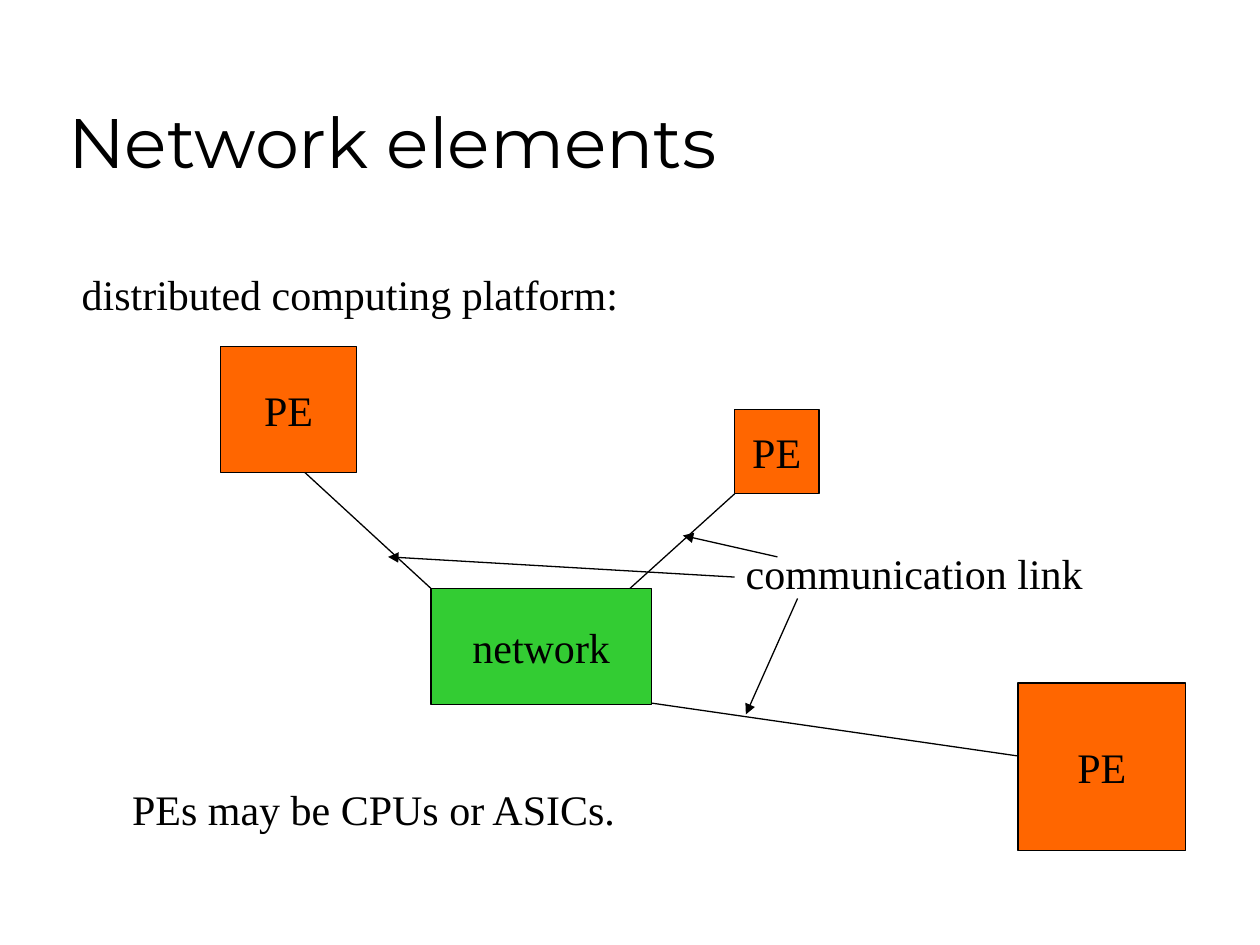
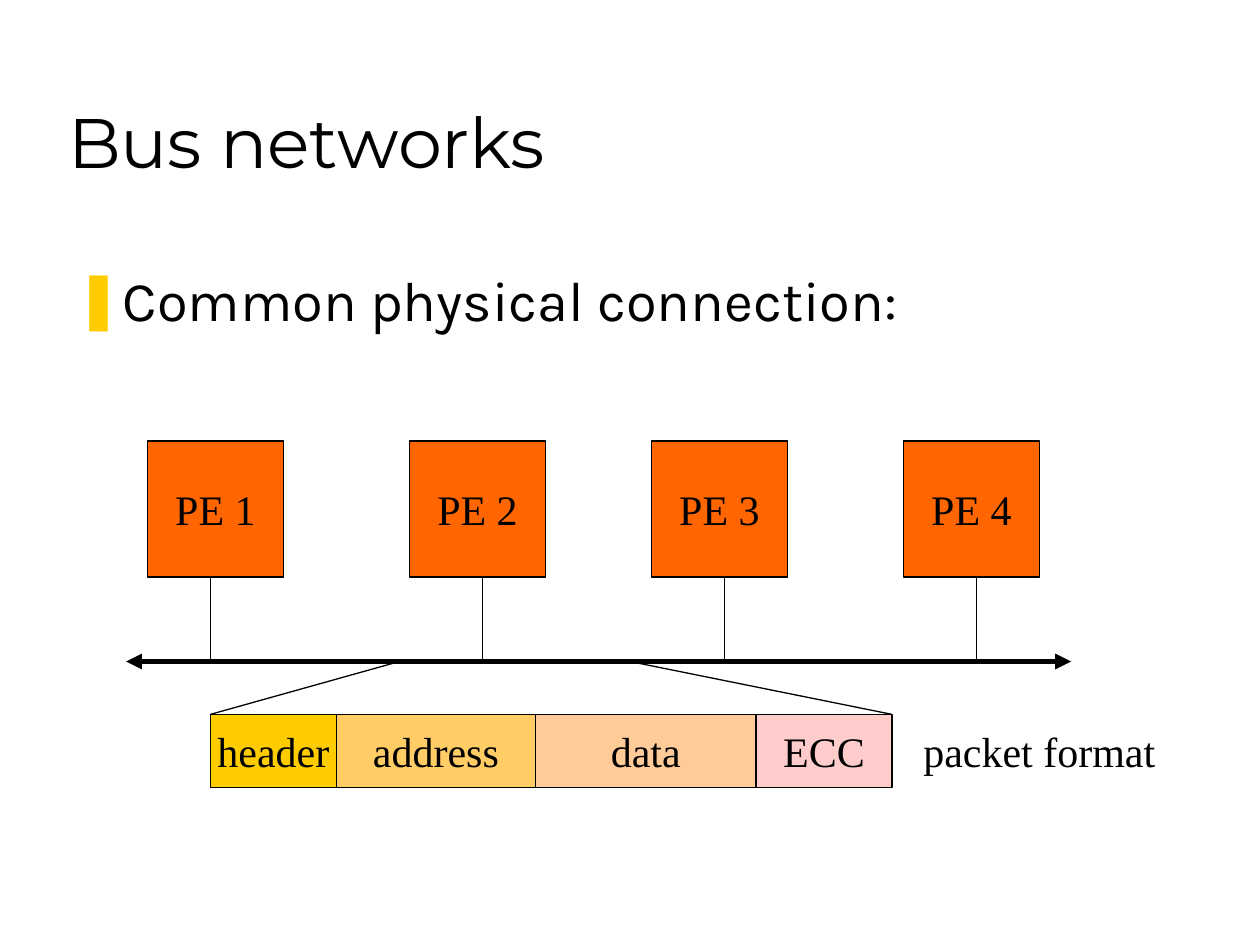
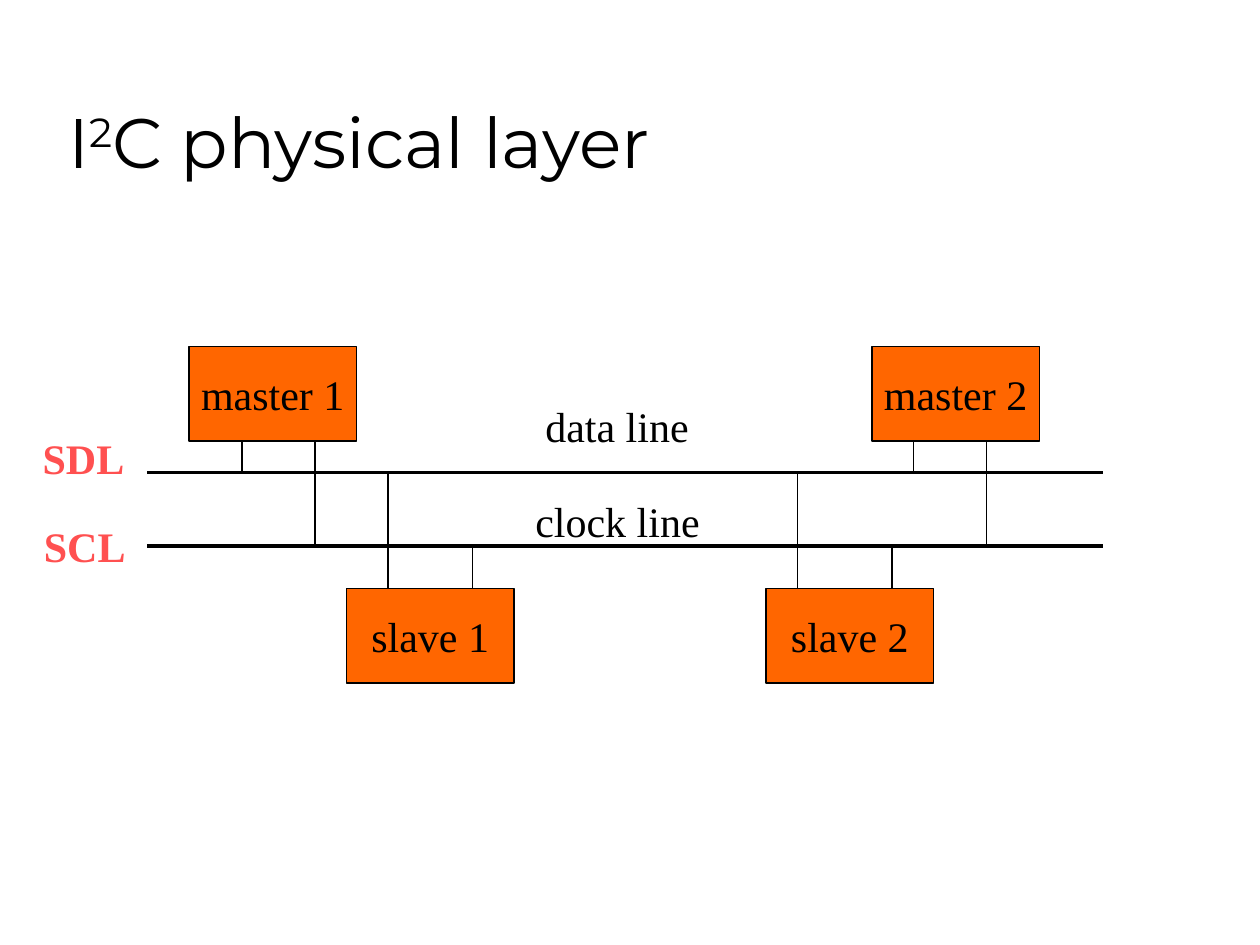
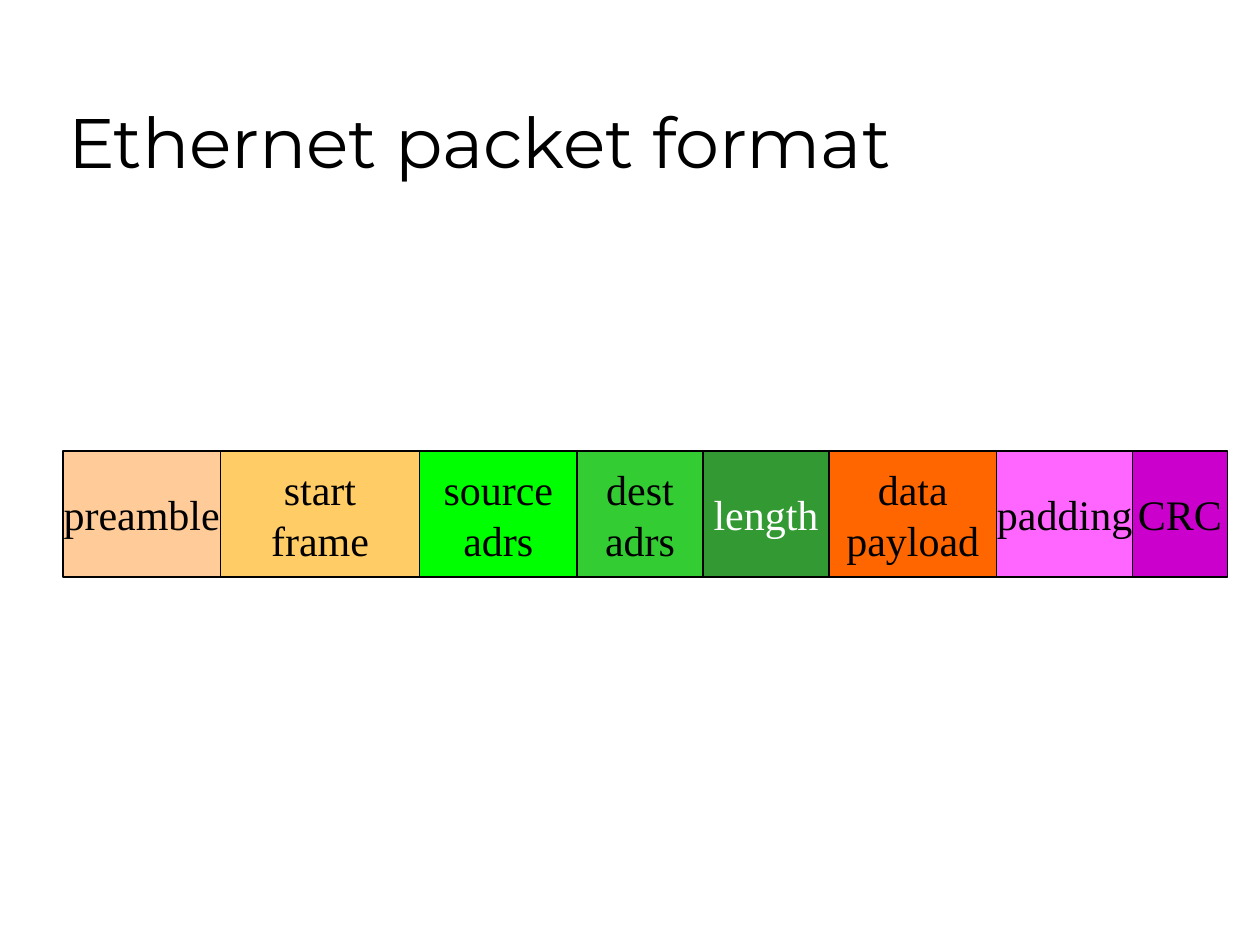
"""Build four slides on networks for distributed embedded computing."""
from dataclasses import dataclass
from itertools import accumulate
from typing import Any

from lxml.etree import SubElement
from pptx import Presentation
from pptx.dml.color import RGBColor
from pptx.enum.shapes import MSO_CONNECTOR, MSO_SHAPE
from pptx.enum.text import MSO_ANCHOR, MSO_AUTO_SIZE, PP_ALIGN
from pptx.oxml.ns import qn
from pptx.presentation import Presentation as Deck
from pptx.shapes.autoshape import Shape
from pptx.shapes.shapetree import GroupShapes, SlideShapes
from pptx.slide import Slide
from pptx.text.text import TextFrame
from pptx.util import Inches, Pt

Shapes = SlideShapes | GroupShapes
Point = tuple[float, float]


@dataclass(frozen=True)
class Theme:
    """Colours, fonts, type sizes and line widths."""
    ink: str = "000000"
    paper: str = "FFFFFF"
    orange: str = "FF6600"
    green: str = "33CC33"
    lime: str = "00FF00"
    forest: str = "339933"
    gold: str = "FFCC00"
    sand: str = "FFCC66"
    peach: str = "FFCC99"
    blush: str = "FFCCCC"
    pink: str = "FF66FF"
    magenta: str = "CC00CC"
    signal: str = "FF5050"
    title_font: str = "Montserrat"
    body_font: str = "Karla"
    label_font: str = "Times New Roman"
    title_size: int = 40
    body_size: int = 32
    label_size: int = 24
    thin: float = 0.75
    rail: float = 2.25
    bus: float = 3


THEME = Theme()


@dataclass(frozen=True)
class Box:
    """A filled, outlined rectangle with a centred label."""
    label: str
    left: float
    top: float
    width: float
    height: float
    fill: str = THEME.orange
    ink: str = THEME.ink


@dataclass(frozen=True)
class Wire:
    """A straight line with optional arrowheads."""
    start: Point
    end: Point
    weight: float = THEME.thin
    head: bool = False
    tail: bool = False


@dataclass(frozen=True)
class Caption:
    """A single line of free text."""
    text: str
    left: float
    top: float
    width: float
    ink: str = THEME.ink
    bold: bool = False


@dataclass(frozen=True)
class Field:
    """One cell of a packet strip."""
    label: str
    width: float
    fill: str
    ink: str = THEME.ink


def apply_format(target: Any, **values: Any) -> None:
    """Set each named attribute on the target."""
    for name, value in values.items():
        setattr(target, name, value)


def style_text(frame: TextFrame, font: str, size: int, ink: str,
               align: PP_ALIGN = PP_ALIGN.LEFT, bold: bool = False) -> None:
    """Format every paragraph and run of a text frame."""
    for para in frame.paragraphs:
        apply_format(para, alignment=align, space_before=Pt(0))
        for span in para.runs:
            apply_format(span.font, name=font, size=Pt(size), bold=bold)
            span.font.color.rgb = RGBColor.from_string(ink)


def place(shape: Shape, left: float, top: float, width: float, height: float) -> None:
    """Move and size a placeholder."""
    apply_format(shape, left=Inches(left), top=Inches(top),
                 width=Inches(width), height=Inches(height))


def add_page(deck: Deck, layout: int, *spans: tuple[str, int]) -> Slide:
    """Add a slide whose title is made of text and baseline pairs."""
    page = deck.slides.add_slide(deck.slide_layouts[layout])
    title = page.shapes.title
    place(title, 0.44, 0.25, 8.5, 1.25)
    frame = title.text_frame
    apply_format(frame, vertical_anchor=MSO_ANCHOR.BOTTOM, word_wrap=True,
                 auto_size=MSO_AUTO_SIZE.NONE)
    for text, baseline in spans:
        span = frame.paragraphs[0].add_run()
        span.text = text
        if baseline:
            span._r.get_or_add_rPr().set("baseline", str(baseline))
    style_text(frame, THEME.title_font, THEME.title_size, THEME.ink)
    return page


def add_bullet(page: Slide, text: str) -> None:
    """Fill the body placeholder with one bulleted line."""
    body = page.placeholders[1]
    place(body, 0.5, 2.06, 8.94, 4.56)
    frame = body.text_frame
    apply_format(frame, text=text, word_wrap=True, auto_size=MSO_AUTO_SIZE.NONE)
    properties = frame.paragraphs[0]._p.get_or_add_pPr()
    apply_format(properties, marL=Inches(0.38), indent=Inches(-0.38))
    colour = SubElement(properties, qn("a:buClr"))
    SubElement(colour, qn("a:srgbClr"), val=THEME.gold)
    SubElement(properties, qn("a:buChar"), char="❚")
    style_text(frame, THEME.body_font, THEME.body_size, THEME.ink)


def draw_box(shapes: Shapes, box: Box) -> None:
    """Draw a labelled rectangle."""
    shape = shapes.add_shape(MSO_SHAPE.RECTANGLE, Inches(box.left), Inches(box.top),
                             Inches(box.width), Inches(box.height))
    shape.shadow.inherit = False
    shape.fill.solid()
    shape.fill.fore_color.rgb = RGBColor.from_string(box.fill)
    shape.line.color.rgb = RGBColor.from_string(THEME.ink)
    shape.line.width = Pt(THEME.thin)
    frame = shape.text_frame
    apply_format(frame, text=box.label, word_wrap=False,
                 vertical_anchor=MSO_ANCHOR.MIDDLE)
    style_text(frame, THEME.label_font, THEME.label_size, box.ink, PP_ALIGN.CENTER)


def draw_wire(shapes: Shapes, wire: Wire) -> None:
    """Draw a straight connector."""
    connector = shapes.add_connector(
        MSO_CONNECTOR.STRAIGHT, *map(Inches, (*wire.start, *wire.end)))
    connector.line.color.rgb = RGBColor.from_string(THEME.ink)
    connector.line.width = Pt(wire.weight)
    outline = connector.line._get_or_add_ln()
    for tag, wanted in (("a:headEnd", wire.head), ("a:tailEnd", wire.tail)):
        if wanted:
            SubElement(outline, qn(tag), type="triangle")
    SubElement(connector._element.spPr, qn("a:effectLst"))


def draw_caption(shapes: Shapes, caption: Caption) -> None:
    """Draw a line of free text."""
    box = shapes.add_textbox(Inches(caption.left), Inches(caption.top),
                             Inches(caption.width), Inches(0.5))
    frame = box.text_frame
    apply_format(frame, text=caption.text, word_wrap=False,
                 auto_size=MSO_AUTO_SIZE.SHAPE_TO_FIT_TEXT)
    style_text(frame, THEME.label_font, THEME.label_size, caption.ink,
               bold=caption.bold)


def draw_all(shapes: Shapes, *items: Box | Wire | Caption) -> None:
    """Draw each item with the function for its kind."""
    painters = {Box: draw_box, Wire: draw_wire, Caption: draw_caption}
    for item in items:
        painters[type(item)](shapes, item)


def draw_strip(shapes: Shapes, left: float, top: float, height: float,
               fields: list[Field]) -> None:
    """Draw packet fields side by side."""
    edges = accumulate((field.width for field in fields), initial=left)
    for field, edge in zip(fields, edges):
        draw_box(shapes, Box(field.label, edge, top, field.width, height,
                             field.fill, field.ink))


def build_elements(deck: Deck) -> None:
    """Show processing elements joined by a network."""
    page = add_page(deck, 5, ("Network elements", 0))
    draw_all(
        page.shapes,
        Box("PE", 1.75, 2.75, 1.08, 1),
        Box("PE", 5.83, 3.25, 0.67, 0.67),
        Box("PE", 8.08, 5.42, 1.33, 1.33),
        Box("network", 3.42, 4.67, 1.75, 0.92, THEME.green),
        Wire((3.42, 4.67), (2.42, 3.75)),
        Wire((5, 4.67), (5.83, 3.92)),
        Wire((5.17, 5.58), (8.08, 6)),
        Caption("communication link", 5.82, 4.3, 2.92),
        Wire((6.17, 4.42), (5.42, 4.25), tail=True),
        Wire((6.33, 4.75), (5.92, 5.67), tail=True),
        Wire((5.83, 4.58), (3.08, 4.42), tail=True),
        Caption("distributed computing platform:", 0.55, 2.08, 4.5),
        Caption("PEs may be CPUs or ASICs.", 0.95, 6.17, 4.1),
    )


def build_bus(deck: Deck) -> None:
    """Show a shared bus and its packet format."""
    page = add_page(deck, 1, ("Bus networks", 0))
    add_bullet(page, "Common physical connection:")
    bus_top = 5.25
    taps = ((1.17, 1.67), (3.25, 3.83), (5.17, 5.75), (7.17, 7.75))
    for number, (left, tap) in enumerate(taps, start=1):
        draw_all(page.shapes,
                 Box(f"PE {number}", left, 3.5, 1.08, 1.08),
                 Wire((tap, 4.58), (tap, bus_top)))
    draw_wire(page.shapes, Wire((1, bus_top), (8.5, bus_top), THEME.bus, True, True))
    packet = page.shapes.add_group_shape().shapes
    draw_strip(packet, 1.67, 5.67, 0.58, [
        Field("header", 1, THEME.gold),
        Field("address", 1.58, THEME.sand),
        Field("data", 1.75, THEME.peach),
        Field("ECC", 1.08, THEME.blush),
    ])
    draw_all(packet,
             Wire((1.67, 5.67), (3.17, bus_top)),
             Wire((7.08, 5.67), (5, bus_top)),
             Caption("packet format", 7.23, 5.71, 2.08))


def build_physical_layer(deck: Deck) -> None:
    """Show masters and slaves on the data and clock lines."""
    page = add_page(deck, 5, ("I", 0), ("2", 30000), ("C physical layer", 0))
    data, clock = 3.75, 4.33
    master_top, master_bottom, slave_top = 2.75, 3.5, 4.67
    devices = (("master 1", 1.5, master_top), ("master 2", 6.92, master_top),
               ("slave 1", 2.75, slave_top), ("slave 2", 6.08, slave_top))
    for label, left, top in devices:
        draw_box(page.shapes, Box(label, left, top, 1.33, 0.75))
    for rail in (data, clock):
        draw_wire(page.shapes, Wire((1.17, rail), (8.75, rail), THEME.rail))
    taps = ((1.92, 2.5, master_bottom), (3.08, 3.75, slave_top),
            (6.33, 7.08, slave_top), (7.25, 7.83, master_bottom))
    for data_tap, clock_tap, edge in taps:
        draw_all(page.shapes,
                 Wire((data_tap, edge), (data_tap, data)),
                 Wire((clock_tap, edge), (clock_tap, clock)))
    draw_all(
        page.shapes,
        Caption("SCL", 0.25, 4.08, 0.88, THEME.signal, True),
        Caption("SDL", 0.24, 3.38, 0.88, THEME.signal, True),
        Caption("data line", 4.23, 3.13, 1.38),
        Caption("clock line", 4.15, 3.88, 1.55),
    )


def build_packet(deck: Deck) -> None:
    """Show the fields of an Ethernet packet."""
    page = add_page(deck, 5, ("Ethernet packet format", 0))
    draw_strip(page.shapes, 0.5, 3.58, 1, [
        Field("preamble", 1.25, THEME.peach),
        Field("start\nframe", 1.58, THEME.sand),
        Field("source\nadrs", 1.25, THEME.lime),
        Field("dest\nadrs", 1, THEME.green),
        Field("length", 1, THEME.forest, THEME.paper),
        Field("data\npayload", 1.33, THEME.orange),
        Field("padding", 1.08, THEME.pink),
        Field("CRC", 0.75, THEME.magenta),
    ])


def main() -> None:
    """Build and save the deck."""
    deck = Presentation()
    apply_format(deck, slide_width=Inches(10), slide_height=Inches(7.5))
    for build in (build_elements, build_bus, build_physical_layer, build_packet):
        build(deck)
    deck.save("out.pptx")


if __name__ == "__main__":
    main()
